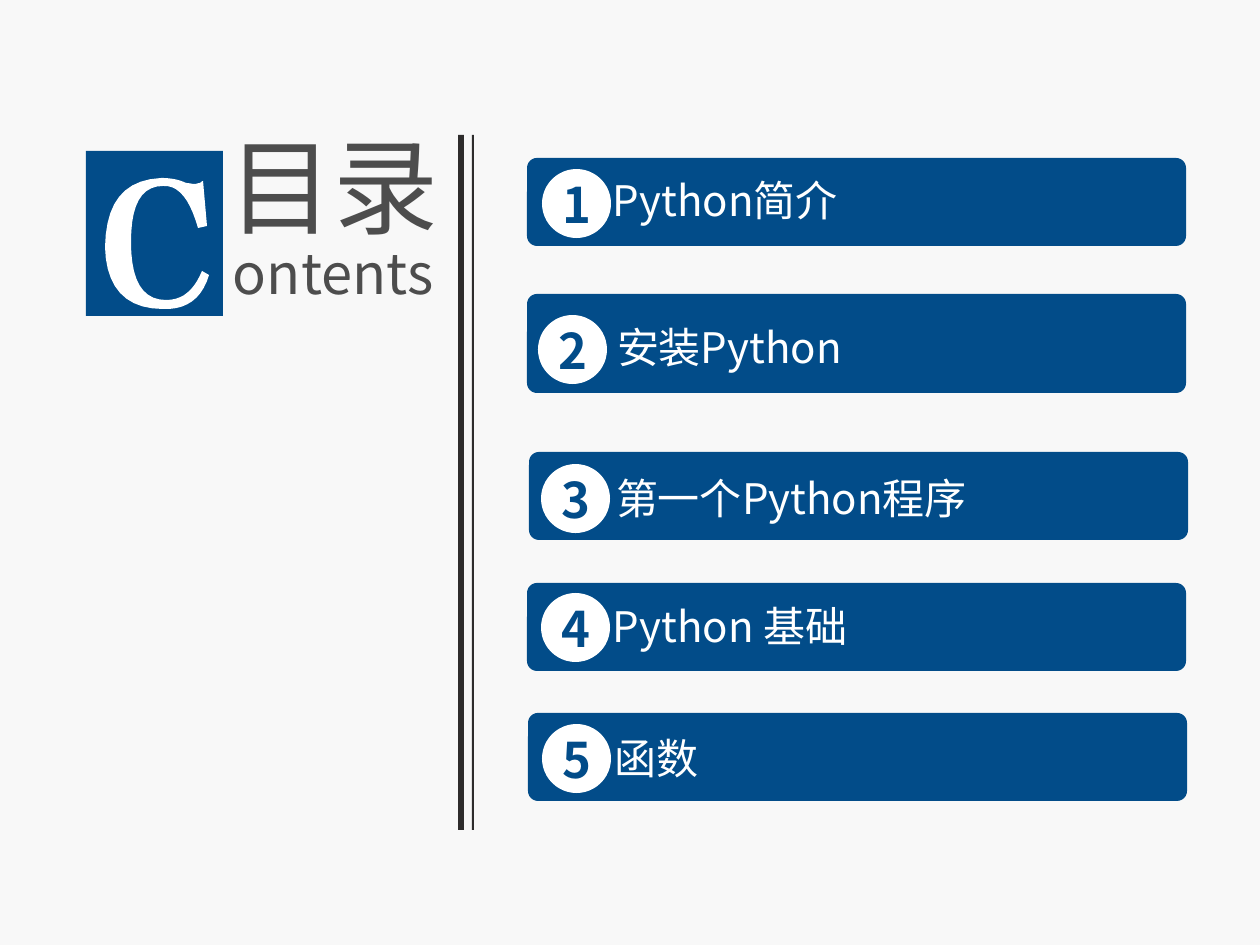
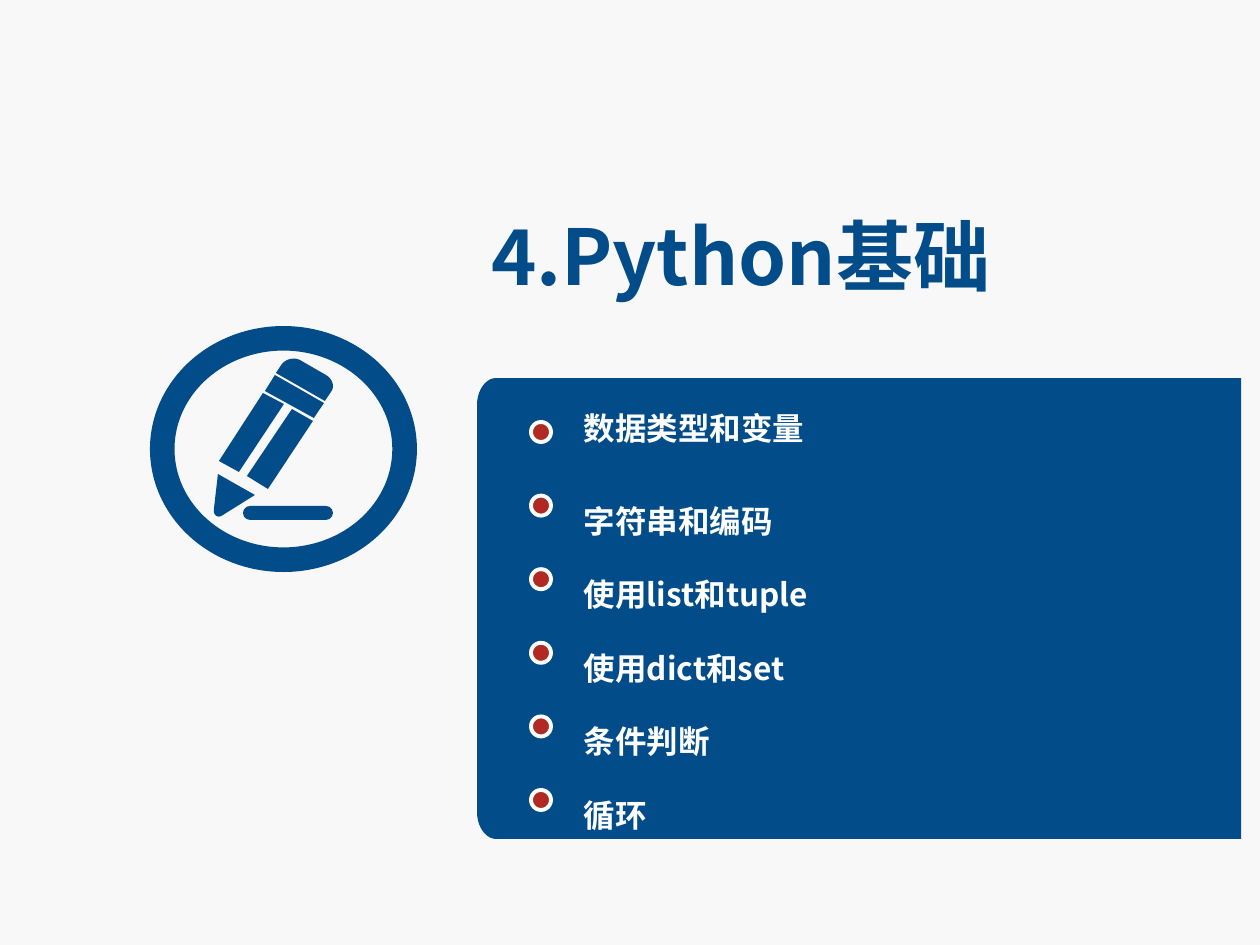
"""Build the contents slide and the chapter four slide of a Python course."""
from lxml.etree import SubElement
from pptx import Presentation
from pptx.dml.color import RGBColor
from pptx.enum.shapes import MSO_SHAPE
from pptx.enum.text import MSO_ANCHOR, PP_ALIGN
from pptx.oxml.ns import qn
from pptx.util import Emu, Pt

PIXEL = 914400 / 126
FONT = "Noto Sans CJK SC"
BLUE = RGBColor(0x02, 0x4C, 0x89)
WHITE = RGBColor(0xFF, 0xFF, 0xFF)
PALE = RGBColor(0xF8, 0xF8, 0xF8)
GREY = RGBColor(0x4D, 0x4D, 0x4D)
DARK = RGBColor(0x2E, 0x2C, 0x2C)
RED = RGBColor(0xB1, 0x29, 0x23)

BAR_WIDTH, BAR_RADIUS, BADGE_SIZE, LABEL_HEIGHT = 659, 10, 69, 70
CHAPTERS = [
    {"name": "Python简介", "bar": (527, 158, 88), "badge": (542, 169), "label": (607, 168, 438)},
    {"name": "安装Python", "bar": (527, 294, 99), "badge": (538, 315), "label": (611, 315, 457)},
    {"name": "第一个Python程序", "bar": (529, 452, 88), "badge": (541, 464), "label": (610, 466, 408)},
    {"name": "Python 基础", "bar": (527, 583, 88), "badge": (541, 593), "label": (607, 595, 346)},
    {"name": "函数", "bar": (528, 713, 88), "badge": (542, 724), "label": (609, 726, 263)},
]
DIVIDERS = [(458, 135, 6, 695), (472, 135, 2, 695)]

CHAPTER_TITLE = "4.Python基础"
TOPICS = ["数据类型和变量", "字符串和编码", "使用list和tuple", "使用dict和set", "条件判断", "循环"]
TOPIC_PITCH = 73.6

# Pairs are corners; sextets are two control points and an end point.
INITIAL_C = [[
    (207, 226), (203, 181), (203, 181, 202, 181, 200, 183), (198, 183, 197, 184, 194, 184),
    (192, 184, 189, 183, 186, 183), (178, 179, 169, 178, 161, 178),
    (123, 180, 106, 203, 105, 247), (106, 287, 125, 309, 163, 309),
    (186, 310, 202, 299, 209, 275), (202, 271), (194, 290, 183, 300, 166, 300),
    (142, 300, 131, 280, 131, 242), (131, 205, 141, 186, 163, 186),
    (179, 185, 190, 200, 198, 228),
]]
PENCIL = [
    [(247, 476), (292, 409), (313, 421), (268, 489)],
    [(219, 461), (263, 393), (284, 404), (239, 472)],
    [(218, 474), (255, 495), (223, 515), (218, 519, 213, 515, 214, 509)],
    [(275, 375), (324, 403), (314, 418), (265, 391)],
    [(282, 364), (286, 359, 294, 357, 300, 360), (326, 375),
     (333, 379, 335, 387, 331, 392), (325, 401), (276, 373)],
]
PANEL = [[
    (496, 378), (1241, 378), (1241, 839), (496, 839), (486, 839, 477, 827, 477, 812),
    (477, 405), (477, 390, 486, 378, 496, 378),
]]


def emu(pixels):
    return Emu(round(pixels * PIXEL))


def add_slide(presentation):
    slide = presentation.slides.add_slide(presentation.slide_layouts[6])
    slide.background.fill.solid()
    slide.background.fill.fore_color.rgb = PALE
    return slide


def paint(shape, fill):
    shape.shadow.inherit = False
    shape.fill.solid()
    shape.fill.fore_color.rgb = fill
    shape.line.fill.background()


def add_preset(slide, kind, box, fill):
    shape = slide.shapes.add_shape(kind, *map(emu, box))
    paint(shape, fill)
    return shape


def flatten(contour, steps=10):
    points = [contour[0]]
    for segment in contour[1:]:
        if len(segment) == 2:
            points.append(segment)
            continue
        x0, y0 = points[-1]
        x1, y1, x2, y2, x3, y3 = segment
        for step in range(1, steps + 1):
            t = step / steps
            u = 1 - t
            a, b, c, d = u ** 3, 3 * u * u * t, 3 * u * t * t, t ** 3
            points.append((a * x0 + b * x1 + c * x2 + d * x3, a * y0 + b * y1 + c * y2 + d * y3))
    return [(emu(x), emu(y)) for x, y in points]


def add_outline(slide, contours, fill):
    outlines = [flatten(contour) for contour in contours]
    builder = slide.shapes.build_freeform(*outlines[0][0])
    for index, points in enumerate(outlines):
        if index:
            builder.move_to(*points[0])
        builder.add_line_segments(points[1:], close=True)
    paint(builder.convert_to_shape(), fill)


def write(shape, text, size, color, bold=False, inset=0, spacing=None):
    frame = shape.text_frame
    frame.word_wrap = True
    frame.margin_left = frame.margin_right = emu(inset)
    frame.margin_top = frame.margin_bottom = emu(inset)
    paragraph = frame.paragraphs[0]
    paragraph.text = text
    paragraph.line_spacing = spacing
    font = paragraph.font
    font.name, font.size, font.bold = FONT, Pt(size), bold
    font.color.rgb = color
    properties = paragraph._p.get_or_add_pPr().find(qn("a:defRPr"))
    SubElement(properties, qn("a:ea")).set("typeface", FONT)
    return paragraph


def add_text(slide, box, *arguments, **options):
    return write(slide.shapes.add_textbox(*map(emu, box)), *arguments, **options)


def build_contents(presentation):
    slide = add_slide(presentation)
    add_preset(slide, MSO_SHAPE.RECTANGLE, (86, 151, 137, 165), BLUE)
    add_outline(slide, INITIAL_C, WHITE)
    add_text(slide, (229, 122, 220, 152), "目录", 60, GREY)
    add_text(slide, (233, 238, 216, 81), "ontents", 32, GREY)
    for divider in DIVIDERS:
        add_preset(slide, MSO_SHAPE.RECTANGLE, divider, DARK)
    for number, chapter in enumerate(CHAPTERS, 1):
        left, top, height = chapter["bar"]
        bar = add_preset(slide, MSO_SHAPE.ROUNDED_RECTANGLE, (left, top, BAR_WIDTH, height), BLUE)
        bar.adjustments[0] = BAR_RADIUS / height
        badge = add_preset(slide, MSO_SHAPE.OVAL, (*chapter["badge"], BADGE_SIZE, BADGE_SIZE), WHITE)
        badge.text_frame.vertical_anchor = MSO_ANCHOR.MIDDLE
        write(badge, str(number), 28, BLUE, bold=True).alignment = PP_ALIGN.CENTER
        add_text(slide, (*chapter["label"], LABEL_HEIGHT), chapter["name"], 24, WHITE, inset=6)


def build_chapter(presentation):
    slide = add_slide(presentation)
    add_outline(slide, PANEL, BLUE)
    add_text(slide, (485, 203, 748, 121), CHAPTER_TITLE, 44, BLUE, bold=True, inset=6)
    ring = add_preset(slide, MSO_SHAPE.DONUT, (150, 326, 267, 246), BLUE)
    ring.adjustments[0] = 0.1
    add_outline(slide, PENCIL, BLUE)
    stroke = add_preset(slide, MSO_SHAPE.ROUNDED_RECTANGLE, (243, 506, 90, 14), BLUE)
    stroke.adjustments[0] = 0.5
    for index, topic in enumerate(TOPICS):
        offset = index * TOPIC_PITCH
        dot = add_preset(slide, MSO_SHAPE.OVAL, (531, 422 + offset, 20, 20), RED)
        dot.line.color.rgb = WHITE
        dot.line.width = Pt(2.25)
        add_text(slide, (578, 403 + offset, 530, 57), topic, 18, WHITE, bold=True, inset=6,
                 spacing=1.5 if index else None)


def main():
    presentation = Presentation()
    presentation.slide_width, presentation.slide_height = emu(1260), emu(945)
    build_contents(presentation)
    build_chapter(presentation)
    presentation.save("out.pptx")


if __name__ == "__main__":
    main()
